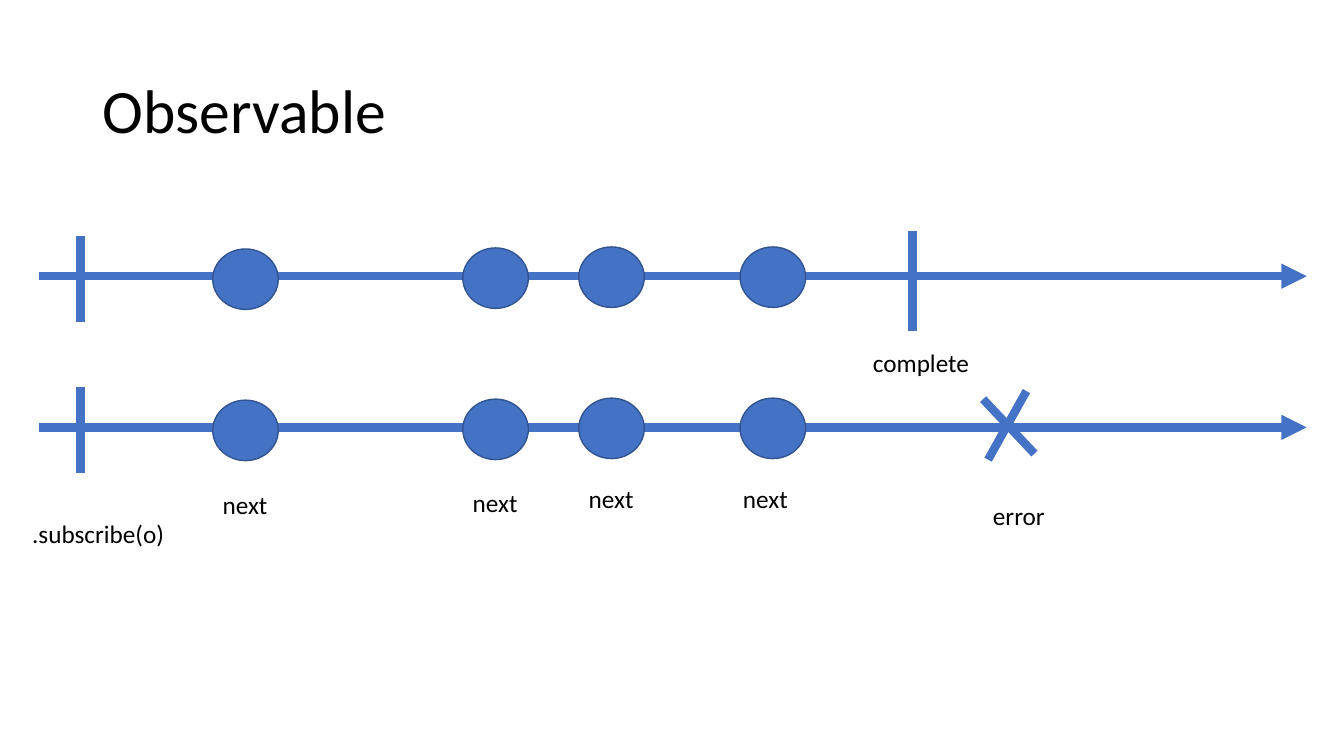
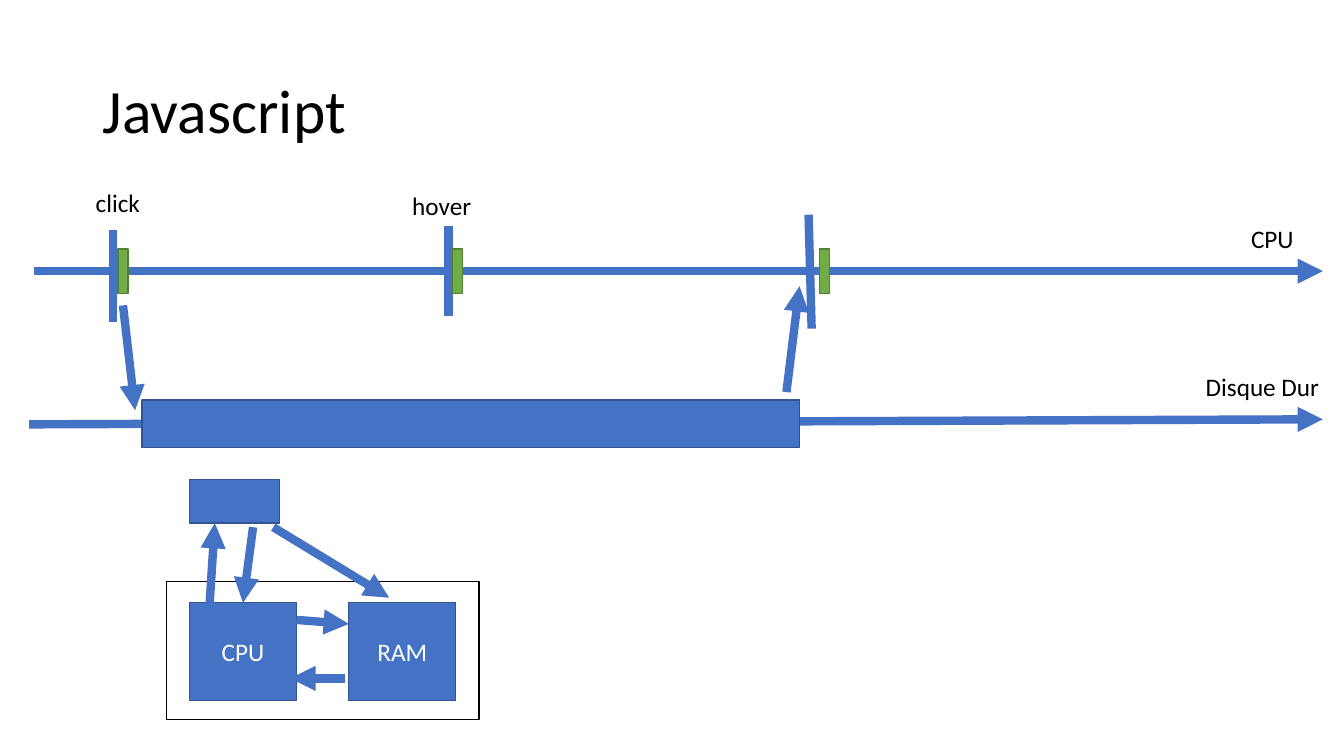
from dataclasses import dataclass

from lxml import etree
from pptx import Presentation
from pptx.dml.color import RGBColor
from pptx.enum.shapes import MSO_CONNECTOR, MSO_SHAPE
from pptx.enum.text import MSO_ANCHOR, MSO_AUTO_SIZE, PP_ALIGN
from pptx.oxml.ns import qn
from pptx.shapes.autoshape import Shape
from pptx.shapes.connector import Connector
from pptx.slide import Slide
from pptx.util import Inches, Pt

RECT = MSO_SHAPE.RECTANGLE
OVAL = MSO_SHAPE.OVAL
STRAIGHT = MSO_CONNECTOR.STRAIGHT
MIDDLE = MSO_ANCHOR.MIDDLE
LEFT = PP_ALIGN.LEFT
CENTER = PP_ALIGN.CENTER
GROW = MSO_AUTO_SIZE.SHAPE_TO_FIT_TEXT
NO_FIT = MSO_AUTO_SIZE.NONE

BLUE, NAVY = "4472C4", "325491"
GREEN, MOSS = "70AD47", "538035"
BLACK, WHITE = "000000", "FFFFFF"

TITLE_FONT = {"name": "Calibri", "size": Pt(44), "bold": False}
TEXT_FONT = {"name": "Calibri", "size": Pt(18)}
TITLE_FRAME = {"vertical_anchor": MIDDLE, "word_wrap": True, "auto_size": NO_FIT}
LABEL_FRAME = {"word_wrap": False, "auto_size": GROW}
BOX_FRAME = {"vertical_anchor": MIDDLE, "word_wrap": True}
TITLE_PLACE = {
    "left": Inches(0.92),
    "top": Inches(0.4),
    "width": Inches(11.5),
    "height": Inches(1.45),
}
TITLE_LAYOUT = 5


@dataclass(frozen=True)
class Box:
    left: float
    top: float
    width: float
    height: float
    text: str = ""
    fill: str = BLUE
    edge: str = NAVY
    kind: MSO_SHAPE = RECT


@dataclass(frozen=True)
class Label:
    text: str
    left: float
    top: float
    width: float


@dataclass(frozen=True)
class Wire:
    x1: float
    y1: float
    x2: float
    y2: float
    arrow: bool = False


def paint(target, color: str) -> None:
    target.rgb = RGBColor.from_string(color)


def apply(target, values: dict) -> None:
    for name, value in values.items():
        setattr(target, name, value)


def write(shape: Shape, text: str, frame: dict, font: dict, color: str, align) -> None:
    apply(shape.text_frame, frame)
    line = shape.text_frame.paragraphs[0]
    line.alignment = align
    run = line.add_run()
    run.text = text
    apply(run.font, font)
    paint(run.font.color, color)


def add_slide(deck, title: str) -> Slide:
    slide = deck.slides.add_slide(deck.slide_layouts[TITLE_LAYOUT])
    shape = slide.shapes.title
    apply(shape, TITLE_PLACE)
    write(shape, title, TITLE_FRAME, TITLE_FONT, BLACK, LEFT)
    shape.text_frame.paragraphs[0].line_spacing = 0.9
    return slide


def add_box(slide: Slide, box: Box) -> Shape:
    place = map(Inches, (box.left, box.top, box.width, box.height))
    shape = slide.shapes.add_shape(box.kind, *place)
    shape.shadow.inherit = False
    shape.fill.solid()
    paint(shape.fill.fore_color, box.fill)
    paint(shape.line.color, box.edge)
    shape.line.width = Pt(1)
    if box.text:
        write(shape, box.text, BOX_FRAME, TEXT_FONT, WHITE, CENTER)
    return shape


def add_label(slide: Slide, label: Label) -> None:
    place = map(Inches, (label.left, label.top, label.width, 0.4))
    shape = slide.shapes.add_textbox(*place)
    write(shape, label.text, LABEL_FRAME, TEXT_FONT, BLACK, LEFT)


def add_wire(slide: Slide, wire: Wire) -> Connector:
    ends = map(Inches, (wire.x1, wire.y1, wire.x2, wire.y2))
    line = slide.shapes.add_connector(STRAIGHT, *ends)
    paint(line.line.color, BLUE)
    line.line.width = Pt(6)
    props = line.element.spPr
    if wire.arrow:
        etree.SubElement(props.find(qn("a:ln")), qn("a:tailEnd"), type="triangle")
    etree.SubElement(props, qn("a:effectLst"))
    return line


def draw_stream(deck) -> None:
    slide = add_slide(deck, "Observable")
    dots = ((2.11, 2.47), (4.59, 2.46), (5.74, 2.45), (7.34, 2.45))
    for drop in (0, 1.5):
        add_wire(slide, Wire(0.39, 2.74 + drop, 12.96, 2.74 + drop, True))
        add_wire(slide, Wire(0.8, 2.34 + drop, 0.8, 3.19 + drop))
        for left, top in dots:
            add_box(slide, Box(left, top + drop, 0.65, 0.6, kind=OVAL))

    marks = (
        Wire(9.05, 2.29, 9.05, 3.28),
        Wire(9.75, 3.96, 10.26, 4.5),
        Wire(10.18, 3.88, 9.8, 4.56),
    )
    for mark in marks:
        add_wire(slide, mark)

    for left, top in ((2.11, 4.81), (4.59, 4.79), (5.74, 4.75), (7.27, 4.75)):
        add_label(slide, Label("next", left, top, 0.65))
    labels = (
        Label(".subscribe(o)", 0.22, 5.09, 1.53),
        Label("complete", 8.56, 3.4, 1.17),
        Label("error", 9.75, 4.91, 0.72),
    )
    for label in labels:
        add_label(slide, label)


def draw_script(deck) -> None:
    slide = add_slide(deck, "Javascript")
    tracks = (
        Wire(0.34, 2.69, 13.12, 2.69, True),
        Wire(0.29, 4.21, 13.12, 4.16, True),
        Wire(1.12, 2.28, 1.12, 3.19),
        Wire(4.45, 2.24, 4.45, 3.14),
        Wire(8.02, 2.13, 8.05, 3.26),
    )
    for track in tracks:
        add_wire(slide, track)

    for left in (1.17, 4.49, 8.13):
        add_box(slide, Box(left, 2.47, 0.1, 0.44, fill=GREEN, edge=MOSS))
    boxes = (
        Box(1.41, 3.97, 6.52, 0.47),
        Box(1.88, 4.76, 0.89, 0.43),
        Box(1.65, 5.77, 3.1, 1.37, fill=WHITE, edge=BLACK),
        Box(3.46, 5.98, 1.06, 0.97, "RAM"),
    )
    for box in boxes:
        add_box(slide, box)
    chip = add_box(slide, Box(1.88, 5.98, 1.06, 0.97, "CPU"))

    arrows = (
        Wire(2.94, 6.15, 3.46, 6.19, True),
        Wire(3.42, 6.73, 2.88, 6.73, True),
        Wire(2.08, 5.98, 2.13, 5.19, True),
        Wire(1.22, 3.03, 1.34, 4.07, True),
        Wire(7.8, 3.89, 7.93, 2.84, True),
        Wire(2.71, 5.23, 3.86, 5.93, True),
    )
    for arrow in arrows:
        add_wire(slide, arrow)
    add_wire(slide, Wire(2.51, 5.23, 2.41, 5.98, True)).end_connect(chip, 0)

    labels = (
        Label("click", 0.85, 1.81, 0.65),
        Label("hover", 3.99, 1.84, 0.79),
        Label("CPU", 12.31, 2.17, 0.63),
        Label("Disque Dur", 11.86, 3.63, 1.34),
    )
    for label in labels:
        add_label(slide, label)


def main() -> None:
    deck = Presentation()
    deck.slide_width = Inches(13.33)
    deck.slide_height = Inches(7.5)
    draw_stream(deck)
    draw_script(deck)
    deck.save("out.pptx")


if __name__ == "__main__":
    main()
